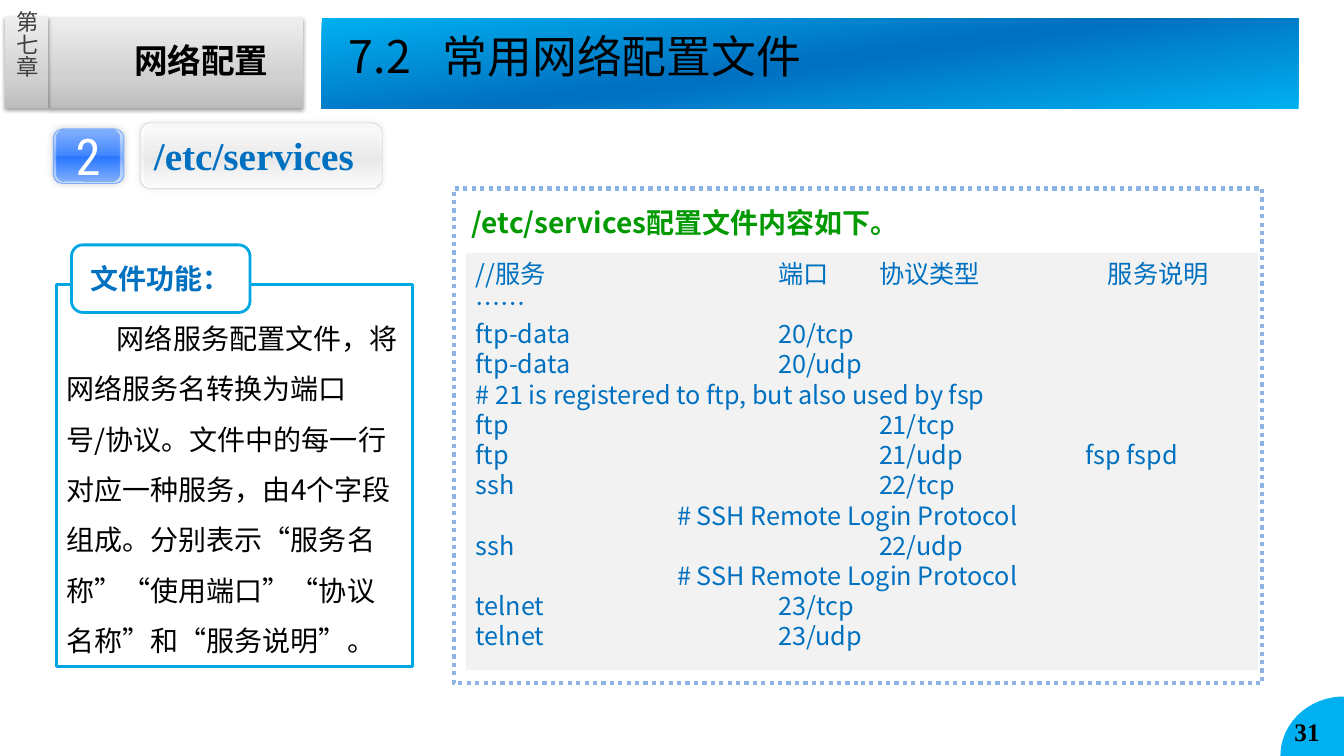
from dataclasses import dataclass
from math import cos, pi, sin
from typing import Optional

from lxml import etree
from pptx import Presentation
from pptx import util as u
from pptx.dml.color import RGBColor
from pptx.enum import dml, shapes, text
from pptx.oxml.ns import qn

HUES = {
    "black": "000000", "white": "FFFFFF", "gray": "404040", "pale": "F2F2F2",
    "edge": "DDDDDD", "blue": "0070C0", "sky": "00B0F0", "cyan": "00A7E2",
    "dots": "8EB4E3", "green": "009900", "soft": "7DADFF",
}
SANS, SERIF = "Noto Sans CJK SC", "Times New Roman"
RECT, ROUND = shapes.MSO_SHAPE.RECTANGLE, shapes.MSO_SHAPE.ROUNDED_RECTANGLE
LEFT, MID = text.PP_ALIGN.LEFT, text.PP_ALIGN.CENTER
TOP, CENTER = text.MSO_ANCHOR.TOP, text.MSO_ANCHOR.MIDDLE

# Gradients: angle, then (position, colour, opacity) stops
STEEL = (270, [(0, "BDBDBD", 100), (35, "D1D1D1", 100), (100, "EEEEEE", 100)])
OCEAN = (262, [(0, "00B0F0", 100), (50, "0070C0", 100), (100, "00B0F0", 100)])
PEARL = (90, [(0, "FFFFFF", 100), (52, "F0F0F0", 100), (100, "FFFFFF", 100)])
GLOSS = (90, [(8, "F8F8F8", 100), (50, "ECECEC", 100), (52, "E8E8E8", 100),
              (98, "F9F9F9", 100), (100, "FFFFFF", 100)])
RIM = (90, [(0, "D4E4FF", 100), (52, "7DADFF", 100), (100, "D4E4FF", 100)])
GLASS = (90, [(8, "7DADFF", 100), (50, "2676FF", 70), (52, "2676FF", 100),
              (98, "7DADFF", 100), (100, "A8C8FF", 100)])


@dataclass
class Box:
    at: tuple
    kind: int = RECT
    fill: Optional[str] = None
    grad: Optional[tuple] = None
    line: Optional[str] = None
    width: float = 0.75
    dash: bool = False
    round: Optional[float] = None
    shade: Optional[tuple] = None  # opacity, blur, distance, angle


@dataclass
class Row:
    words: str
    tabs: tuple = ()


def color(name: str) -> RGBColor:
    return RGBColor.from_string(HUES[name])


def blend(item, grad: tuple) -> None:
    angle, stops = grad
    item.fill.gradient()
    item.fill.gradient_angle = 360 - angle
    rows = item._element.spPr.find(".//" + qn("a:gsLst"))
    for old in list(rows):
        rows.remove(old)
    for spot, hue, alpha in stops:
        stop = etree.SubElement(rows, qn("a:gs"), pos=str(spot * 1000))
        tone = etree.SubElement(stop, qn("a:srgbClr"), val=hue)
        if alpha < 100:
            etree.SubElement(tone, qn("a:alpha"), val=str(alpha * 1000))


def cast(item, shade: tuple) -> None:
    alpha, blur, dist, angle = shade
    glow = etree.SubElement(
        item._element.spPr.find(qn("a:effectLst")), qn("a:outerShdw"),
        blurRad=str(u.Pt(blur)), dist=str(u.Pt(dist)),
        dir=str(angle * 60000), rotWithShape="0")
    tone = etree.SubElement(glow, qn("a:srgbClr"), val=HUES["black"])
    etree.SubElement(tone, qn("a:alpha"), val=str(alpha * 1000))


def draw(slide, box: Box):
    item = slide.shapes.add_shape(box.kind, *map(u.Inches, box.at))
    item.shadow.inherit = False
    if box.round is not None:
        item.adjustments[0] = box.round
    if box.grad:
        blend(item, box.grad)
    else:
        item.fill.solid()
        item.fill.fore_color.rgb = color(box.fill)
    if box.line:
        item.line.color.rgb = color(box.line)
        item.line.width = u.Pt(box.width)
        if box.dash:
            item.line.dash_style = dml.MSO_LINE.ROUND_DOT
    else:
        item.line.fill.background()
    if box.shade:
        cast(item, box.shade)
    return item


def label(slide, at: tuple):
    return slide.shapes.add_textbox(*map(u.Inches, at))


def write(item, rows: list, *, size: float, hue: str = "black", font: str = SANS,
          bold: bool = False, align=LEFT, anchor=TOP, inset=(0.1, 0.05, 0.1, 0.05),
          wrap: bool = True, space: float = 1.0, after: float = 0,
          indent: float = 0) -> None:
    frame = item.text_frame
    frame.auto_size = text.MSO_AUTO_SIZE.NONE
    frame.word_wrap, frame.vertical_anchor = wrap, anchor
    (frame.margin_left, frame.margin_top,
     frame.margin_right, frame.margin_bottom) = map(u.Inches, inset)
    for n, row in enumerate(rows):
        para = frame.paragraphs[0] if n == 0 else frame.add_paragraph()
        para.text = row.words
        prop = para._p.get_or_add_pPr()
        if indent:
            prop.set("marL", "0")
            prop.set("indent", str(u.Inches(indent)))
            etree.SubElement(prop, qn("a:buNone"))
        if row.tabs:
            stops = etree.SubElement(prop, qn("a:tabLst"))
            for spot in row.tabs:
                etree.SubElement(stops, qn("a:tab"), pos=str(u.Inches(spot)), algn="l")
        para.alignment, para.line_spacing = align, space
        para.space_before, para.space_after = u.Pt(0), u.Pt(after)
        for run in para.runs:
            run.font.size, run.font.bold, run.font.name = u.Pt(size), bold, font
            run.font.color.rgb = color(hue)
            etree.SubElement(run._r.get_or_add_rPr(), qn("a:ea"), typeface=font)


def settle(item, at: tuple) -> None:
    item.left, item.top, item.width, item.height = map(u.Inches, at)
    item._element.getparent().append(item._element)


def main() -> None:
    deck = Presentation()
    deck.slide_width, deck.slide_height = u.Inches(13.33), u.Inches(7.5)
    slide = deck.slides.add_slide(deck.slide_layouts[1])
    title, body = slide.placeholders

    # Chapter tab
    drop = (38, 3.1, 1.6, 90)
    draw(slide, Box((0.48, 0.18, 2.53, 0.89), grad=STEEL, shade=drop))
    write(label(slide, (1.01, 0.34, 2, 0.53)), [Row("网络配置")],
          size=24, bold=True, inset=(0.32, 0.06, 0.1, 0.05))
    draw(slide, Box((0.05, 0.17, 0.43, 0.9), grad=STEEL, shade=drop))
    side = label(slide, (0.12, 0.11, 0.29, 0.67))
    write(side, [Row("第七章")], size=16, hue="gray", align=MID, anchor=CENTER,
          inset=(0, 0, 0, 0))
    side.text_frame._txBody.bodyPr.set("vert", "eaVert")

    # Page corner: a quarter ellipse
    arc = [(13.33 - 0.63 * cos(k * pi / 48), 7.5 - 0.59 * sin(k * pi / 48))
           for k in range(25)]
    pen = slide.shapes.build_freeform(u.Inches(13.33), u.Inches(7.5))
    pen.add_line_segments([(u.Inches(x), u.Inches(y)) for x, y in arc])
    corner = pen.convert_to_shape()
    corner.shadow.inherit = False
    corner.fill.solid()
    corner.fill.fore_color.rgb = color("sky")
    corner.line.fill.background()
    write(label(slide, (12.74, 7.06, 0.59, 0.4)), [Row("31")],
          size=18, font=SERIF, bold=True)

    # Title bar
    draw(slide, Box((3.19, 0.18, 9.69, 0.9), grad=OCEAN))
    settle(title, (3.46, 0.28, 4.62, 0.69))
    write(title, [Row("7.2\t常用网络配置文件", (0.93,))], size=32, inset=(0, 0, 0, 0))

    # File listing
    draw(slide, Box((4.5, 1.87, 8.02, 4.91), fill="white", line="dots", width=3, dash=True))
    sheet = draw(slide, Box((4.62, 2.51, 7.86, 4.14), fill="pale"))
    login = "ssh\t\t\t\t22/{}\v\t\t# SSH Remote Login Protocol"
    write(sheet, [
        Row("//服务\t\t\t端口\t协议类型\t服务说明", (1, 2, 3, 4, 6.27)),
        Row("……"),
        *[Row(f"ftp-data\t\t\t20/{kind}") for kind in ("tcp", "udp")],
        Row("# 21 is registered to ftp, but also used by fsp"),
        Row("ftp\t\t\t\t21/tcp"),
        Row("ftp\t\t\t\t21/udp\t\tfsp fspd", (1, 2, 3, 4, 5, 6.05)),
        *[Row(login.format(kind)) for kind in ("tcp", "udp")],
        *[Row(f"telnet\t\t\t23/{kind}") for kind in ("tcp", "udp")],
    ], size=18, hue="blue")
    write(label(slide, (4.58, 1.92, 4.74, 0.5)), [Row("/etc/services配置文件内容如下。")],
          size=20, hue="green", bold=True, space=1.2, after=5)

    # Section heading
    draw(slide, Box((1.39, 1.22, 2.4, 0.65), ROUND, grad=PEARL, line="edge",
                    round=0.15, shade=(8, 5, 0, 0)))
    head = draw(slide, Box((1.43, 1.23, 2.36, 0.62), ROUND, grad=GLOSS, round=0.15))
    write(head, [Row("/etc/services")], size=28, hue="blue", font=SERIF, bold=True,
          anchor=CENTER, wrap=False, inset=(0.07, 0.05, 0.1, 0.05))
    draw(slide, Box((0.53, 1.28, 0.7, 0.54), ROUND, grad=RIM, line="soft",
                    round=0.17, shade=(18, 5, 0, 0)))
    badge = draw(slide, Box((0.56, 1.29, 0.63, 0.51), ROUND, grad=GLASS, round=0.17))
    write(badge, [Row("2")], size=36, hue="white", font="Roboto Condensed",
          align=MID, anchor=CENTER)

    # File purpose
    settle(body, (0.56, 2.82, 3.53, 3.79))
    body.line.color.rgb, body.line.width = color("cyan"), u.Pt(2.25)
    write(body, [Row("网络服务配置文件，将网络服务名转换为端口号/协议。文件中的每一行对应一种服务，"
                     "由4个字段组成。分别表示“服务名称”“使用端口”“协议名称”和“服务说明”。")],
          size=20, space=1.5, indent=0.5, inset=(0.1, 0.2, 0.1, 0.05))
    tag = draw(slide, Box((0.71, 2.43, 1.77, 0.67), ROUND, fill="white", line="cyan", width=2))
    write(tag, [Row("文件功能：")], size=20, hue="blue", bold=True, align=MID, anchor=CENTER)

    deck.save("out.pptx")


if __name__ == "__main__":
    main()
